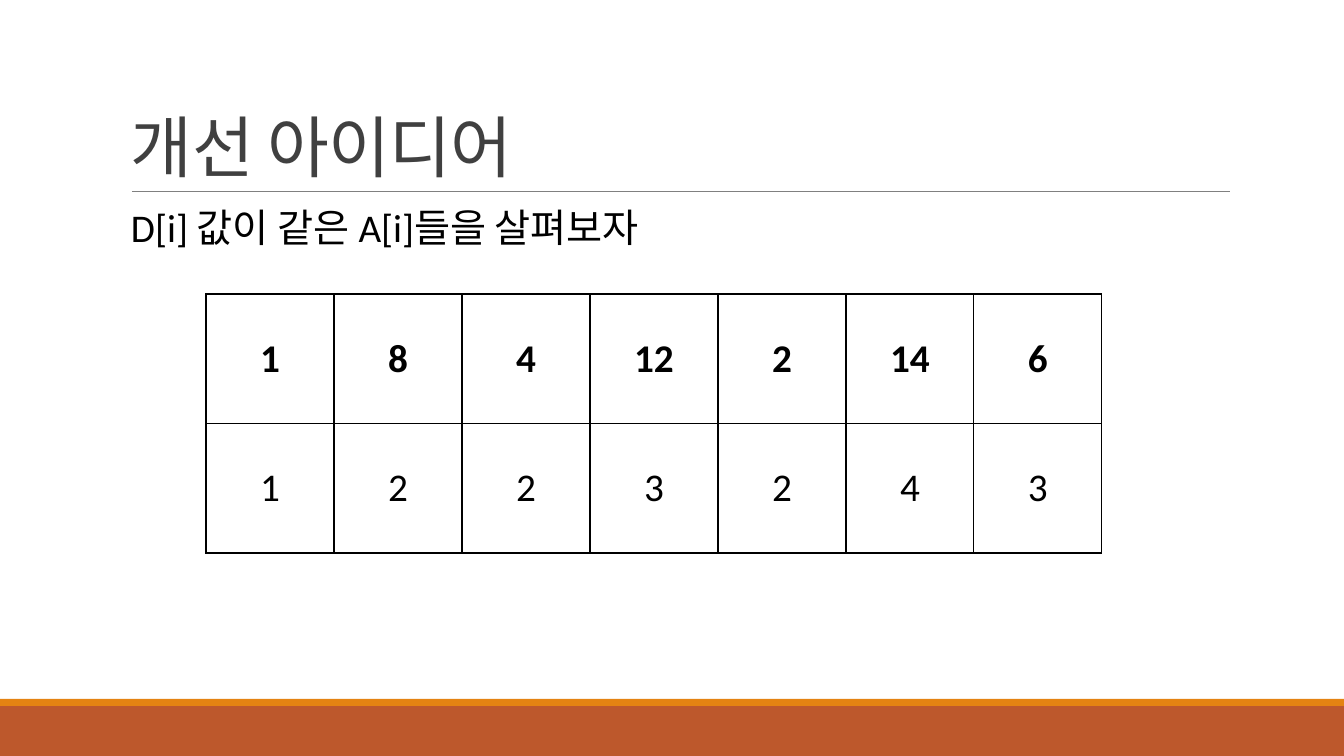
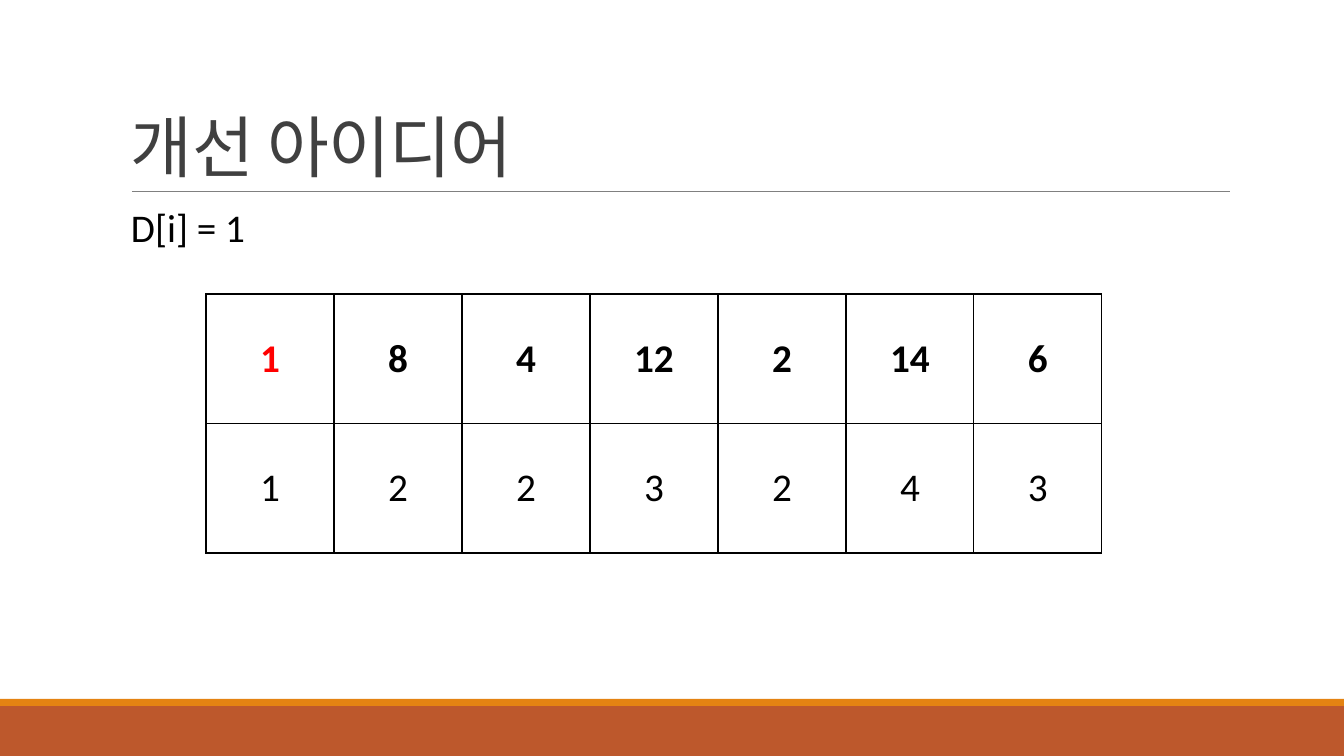
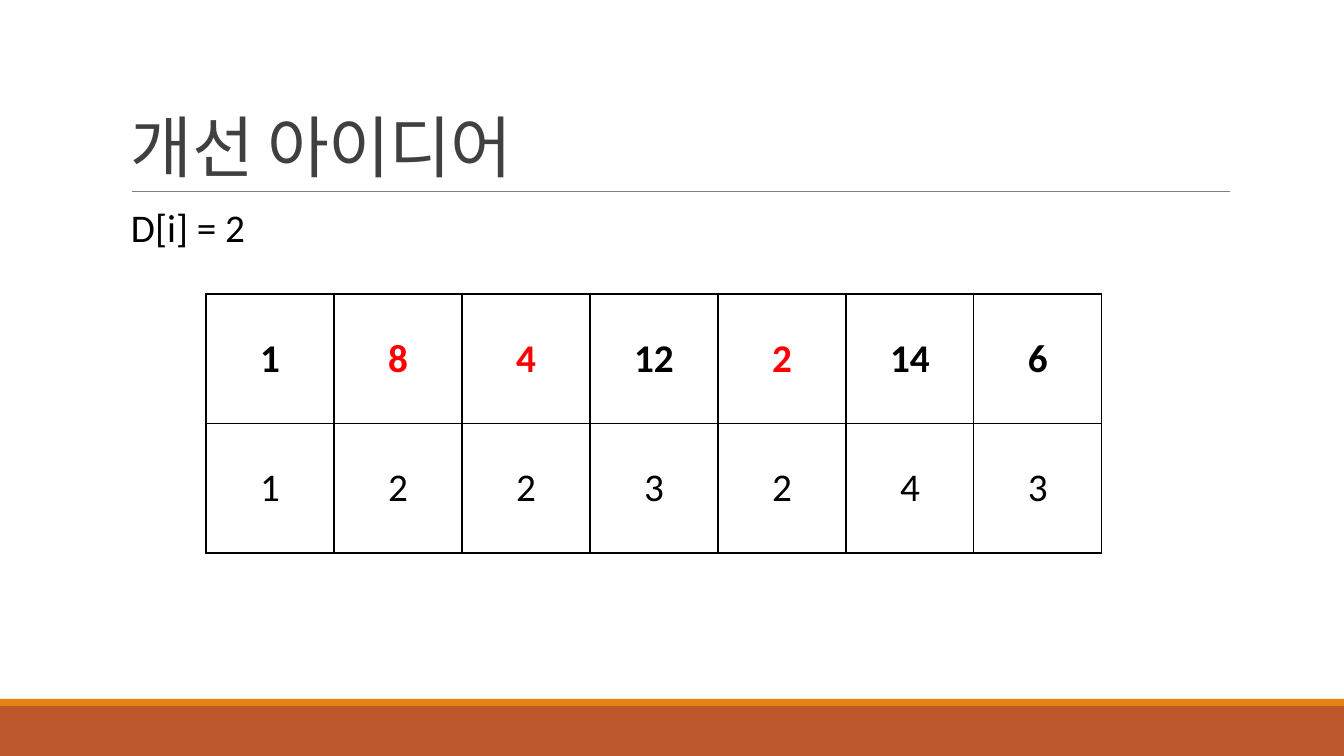
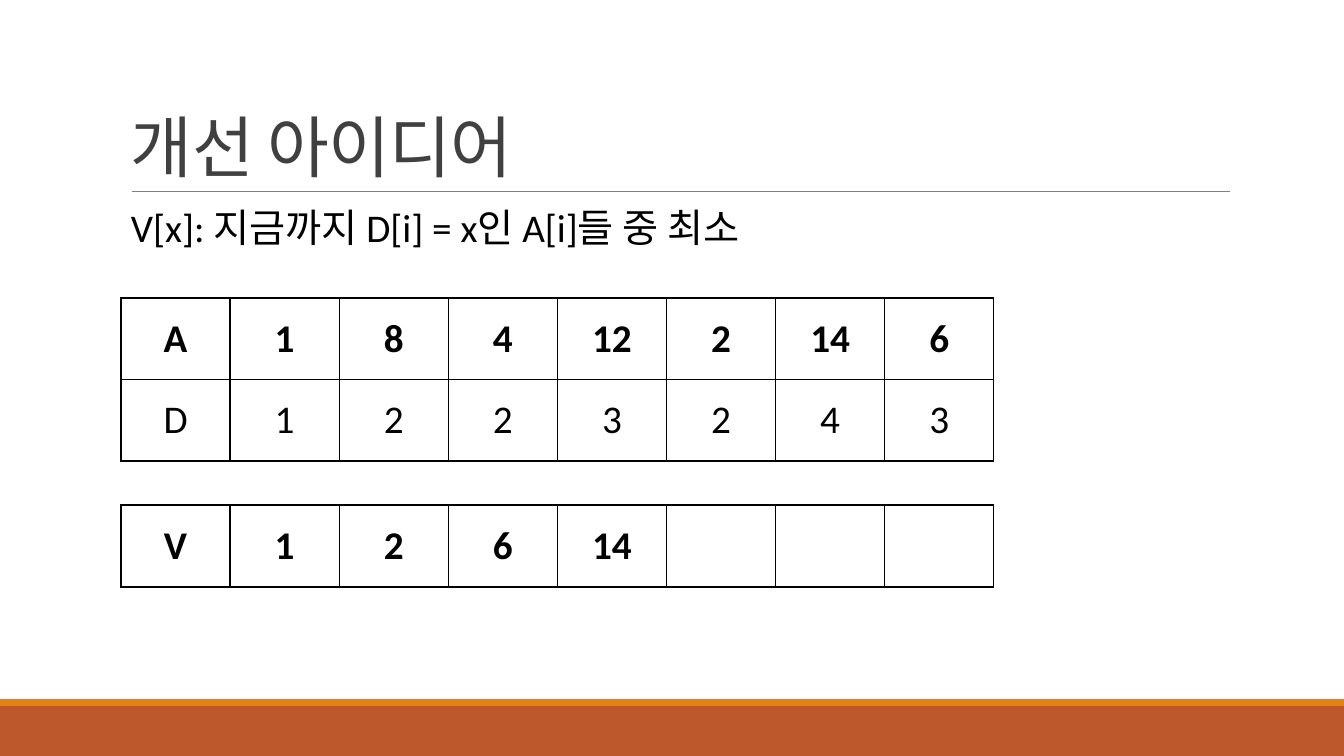
from lxml import etree
from pptx import Presentation
from pptx import util as u
from pptx.dml.color import RGBColor
from pptx.enum import shapes, text
from pptx.oxml import ns

SCALE = 914400 / 100.8
WIDE, HIGH = 1344, 756
FONT = "Calibri"
WHITE = RGBColor(0xFF, 0xFF, 0xFF)
BLACK = RGBColor(0x00, 0x00, 0x00)
RED = RGBColor(0xFF, 0x00, 0x00)
DARK = RGBColor(0x40, 0x40, 0x40)
GRAY = RGBColor(0x80, 0x80, 0x80)
RUST = RGBColor(0xBD, 0x58, 0x2C)
AMBER = RGBColor(0xE4, 0x83, 0x12)

TITLE = "개선 아이디어"
A = [1, 8, 4, 12, 2, 14, 6]
D = [1, 2, 2, 3, 2, 4, 3]
V = [1, 2, 6, 14, "", "", ""]
STEPS = [
    ("D[i] 값이 같은 A[i]들을 살펴보자", None),
    ("D[i] = 1", 1),
    ("D[i] = 2", 2),
]


def px(num):
    """Turn px into EMU."""
    return u.Emu(round(num * SCALE))


def write(frame, words, size=28, color=BLACK, bold=False, align=text.PP_ALIGN.LEFT,
          lead=None, above=0, below=0, track=0):
    """Set the one paragraph of a text frame."""
    para = frame.paragraphs[0]
    para.alignment = align
    para.line_spacing = lead
    para.space_before, para.space_after = u.Pt(above), u.Pt(below)
    run = para.add_run()
    run.text = str(words)
    font = run.font
    font.name, font.size, font.bold = FONT, u.Pt(size), bold
    font.color.rgb = color
    if track:
        run._r.get_or_add_rPr().set("spc", str(track))


def label(slide, box, words, anchor=text.MSO_ANCHOR.TOP, **form):
    """Add a wrapping text box."""
    frame = slide.shapes.add_textbox(*map(px, box)).text_frame
    frame.word_wrap = True
    frame.vertical_anchor = anchor
    frame.margin_left = frame.margin_right = px(10)
    frame.margin_top = frame.margin_bottom = px(5)
    write(frame, words, **form)


def band(slide, box, color):
    """Add a plain filled bar."""
    bar = slide.shapes.add_shape(shapes.MSO_SHAPE.RECTANGLE, *map(px, box))
    bar.shadow.inherit = False
    bar.fill.solid()
    bar.fill.fore_color.rgb = color
    bar.line.fill.background()


def rule(slide, left, top, width):
    """Add the thin line under the title."""
    line = slide.shapes.add_connector(
        shapes.MSO_CONNECTOR.STRAIGHT, px(left), px(top), px(left + width), px(top))
    line.line.color.rgb = GRAY
    line.line.width = u.Pt(0.5)
    etree.SubElement(line._element.spPr, ns.qn("a:effectLst"))


def edge(cell):
    """Draw a black border on all four sides of a cell."""
    props = cell._tc.get_or_add_tcPr()
    for spot, side in enumerate(("lnL", "lnR", "lnT", "lnB")):
        line = etree.Element(ns.qn("a:" + side), w=str(u.Pt(1)))
        fill = etree.SubElement(line, ns.qn("a:solidFill"))
        etree.SubElement(fill, ns.qn("a:srgbClr"), val=str(BLACK))
        props.insert(spot, line)


def grid(slide, box, rows, marks=()):
    """Add a table with a bold first row, whose marked columns are red."""
    high, wide = len(rows), len(rows[0])
    table = slide.shapes.add_table(high, wide, *map(px, box)).table
    table.first_row = table.horz_banding = False
    for col in table.columns:
        col.width = px(box[2] / wide)
    for y, row in enumerate(rows):
        table.rows[y].height = px(box[3] / high)
        for x, value in enumerate(row):
            cell = table.cell(y, x)
            cell.fill.background()
            cell.vertical_anchor = text.MSO_ANCHOR.MIDDLE
            edge(cell)
            if value != "":
                write(cell.text_frame, value, bold=y == 0, align=text.PP_ALIGN.CENTER,
                      color=RED if y == 0 and x in marks else BLACK)


def page(deck, lead):
    """Add a slide with the bands, the title and a lead line."""
    slide = deck.slides.add_slide(deck.slide_layouts[6])
    slide.background.fill.solid()
    slide.background.fill.fore_color.rgb = WHITE
    band(slide, (0, 706, WIDE, 50), RUST)
    band(slide, (0, 699, WIDE, 7), AMBER)
    rule(slide, 132, 191, 1098)
    label(slide, (121, 31, 1109, 160), TITLE, anchor=text.MSO_ANCHOR.BOTTOM,
          size=48, color=DARK, lead=0.85, track=-50)
    label(slide, (121, 204, 1109, 444), lead, lead=0.9, above=12, below=2)
    return slide


def main():
    """Build and save the deck."""
    deck = Presentation()
    deck.slide_width, deck.slide_height = px(WIDE), px(HIGH)
    for lead, goal in STEPS:
        marks = [x for x, size in enumerate(D) if size == goal]
        grid(page(deck, lead), (206, 294, 896, 259), [A, D], marks)
    last = page(deck, "V[x]: 지금까지 D[i] = x인 A[i]들 중 최소")
    grid(last, (121, 298, 873, 163), [["A", *A], ["D", *D]])
    grid(last, (121, 505, 873, 82), [["V", *V]])
    deck.save("out.pptx")


if __name__ == "__main__":
    main()
